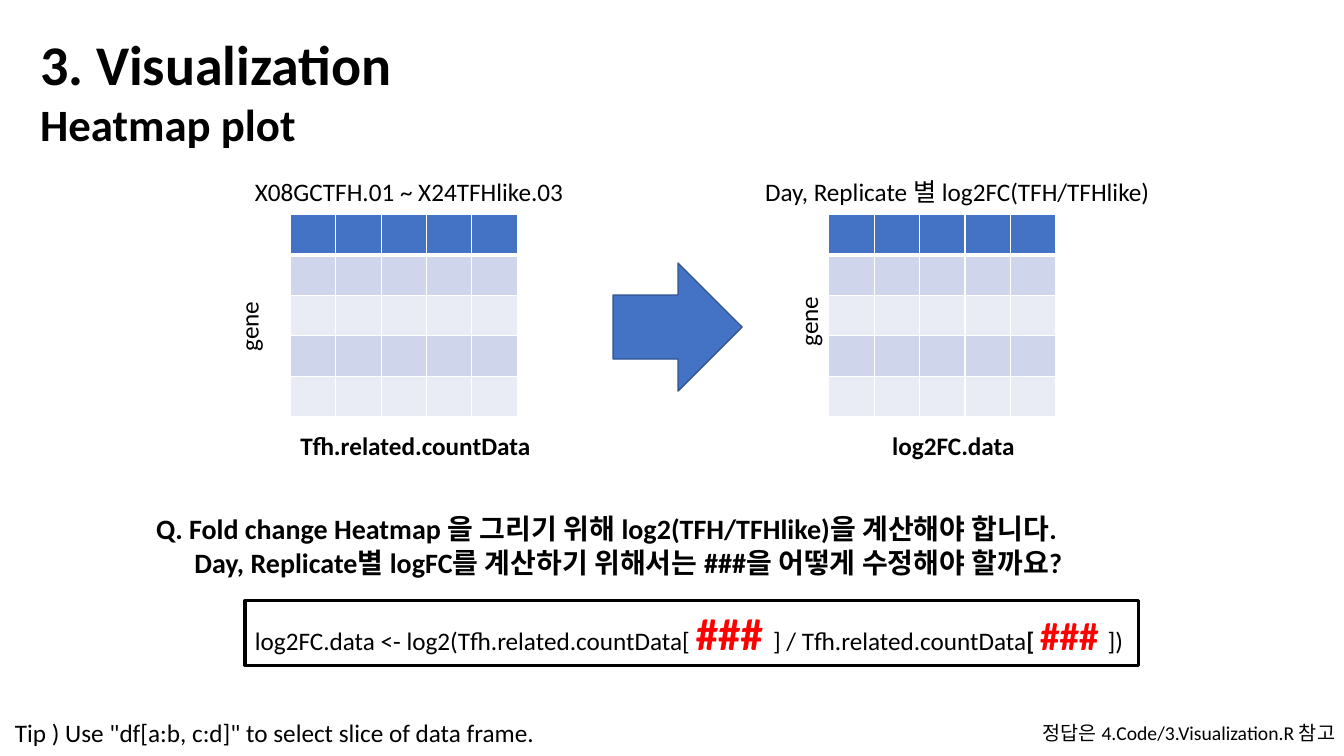
from dataclasses import dataclass

from lxml.etree import SubElement
from pptx import Presentation
from pptx.dml.color import RGBColor
from pptx.enum.shapes import MSO_SHAPE
from pptx.enum.text import MSO_ANCHOR, PP_ALIGN
from pptx.oxml.ns import qn
from pptx.shapes.autoshape import Shape
from pptx.slide import Slide
from pptx.table import _Cell
from pptx.text.text import _Run
from pptx.util import Inches, Pt


@dataclass(frozen=True)
class Theme:
    """Colours and type sizes of the slide."""

    font: str = "Calibri"
    text: str = "000000"
    highlight: str = "FF0000"
    accent: str = "4472C4"
    accent_edge: str = "325491"
    grid: str = "FFFFFF"
    bands: tuple[str, str] = ("CFD5EA", "E9EBF5")
    title: int = 40
    subtitle: int = 32
    question: int = 20
    body: int = 18
    note: int = 14
    blank_large: int = 32
    blank_small: int = 28


THEME = Theme()


@dataclass(frozen=True)
class Box:
    """Position and size in inches."""

    left: float
    top: float
    width: float
    height: float

    def lengths(self) -> tuple[Inches, Inches, Inches, Inches]:
        """Return the four lengths for a shape call."""
        return Inches(self.left), Inches(self.top), Inches(self.width), Inches(self.height)


@dataclass(frozen=True)
class Label:
    """A text box in one style."""

    text: str
    box: Box
    size: int = THEME.body
    bold: bool = False
    align: PP_ALIGN = PP_ALIGN.LEFT
    rotation: int = 0


@dataclass(frozen=True)
class CodePart:
    """A run of the code line."""

    text: str
    size: int = THEME.body
    color: str = THEME.text
    bold: bool = False


LABELS = [
    Label("정답은 4.Code/3.Visualization.R 참고", Box(8.99, 7.1, 4.35, 0.34),
          size=THEME.note, align=PP_ALIGN.RIGHT),
    Label("log2FC.data", Box(8.75, 4.22, 1.7, 0.4), bold=True),
    Label("Tfh.related.countData", Box(2.88, 4.22, 2.66, 0.4), bold=True),
    Label("gene", Box(2.06, 2.98, 0.81, 0.4), rotation=270),
    Label("gene", Box(7.61, 2.93, 0.81, 0.4), rotation=270),
    Label("X08GCTFH.01 ~ X24TFHlike.03", Box(2.43, 1.7, 4.11, 0.4)),
    Label("Day, Replicate 별 log2FC(TFH/TFHlike)", Box(7.49, 1.7, 4.56, 0.4)),
    Label('Tip ) Use "df[a:b, c:d]" to select slice of data frame.', Box(0.05, 7.07, 6.67, 0.4)),
]

CODE_PARTS = [
    CodePart("log2FC.data <- log2(Tfh.related.countData[ "),
    CodePart("### ", THEME.blank_large, THEME.highlight, True),
    CodePart("] / Tfh.related.countData"),
    CodePart("[ ", bold=True),
    CodePart("### ", THEME.blank_small, THEME.highlight, True),
    CodePart("])"),
]

GRID_LEFTS = (2.88, 8.22)
GRID_TOP = 2.13
GRID_COUNT = 5
CELL_WIDTH, CELL_HEIGHT = 0.45, 0.4


def format_run(run: _Run, size: int, color: str = THEME.text, bold: bool = False) -> None:
    """Apply the slide font to a run."""
    run.font.name = THEME.font
    run.font.size = Pt(size)
    run.font.bold = bold
    run.font.color.rgb = RGBColor.from_string(color)


def add_label(slide: Slide, label: Label) -> Shape:
    """Add a text box in one style."""
    shape = slide.shapes.add_textbox(*label.box.lengths())
    shape.rotation = label.rotation
    shape.text_frame.word_wrap = True
    shape.text_frame.text = label.text
    for paragraph in shape.text_frame.paragraphs:
        paragraph.alignment = label.align
        for run in paragraph.runs:
            format_run(run, label.size, bold=label.bold)
    return shape


def add_heading(slide: Slide) -> None:
    """Add the title with its subtitle."""
    heading = Label("3. Visualization\vHeatmap plot", Box(0.3, 0.24, 3.7, 1.31), THEME.title, True)
    shape = add_label(slide, heading)
    shape.text_frame.paragraphs[0].runs[1].font.size = Pt(THEME.subtitle)


def add_question(slide: Slide) -> None:
    """Add the question with an indented second line."""
    question = Label(
        "Q. Fold change Heatmap 을 그리기 위해 log2(TFH/TFHlike)을 계산해야 합니다.\n"
        "Day, Replicate별 logFC를 계산하기 위해서는 ###을 어떻게 수정해야 할까요?",
        Box(1.45, 5.03, 10.53, 0.77), THEME.question, True)
    shape = add_label(slide, question)
    properties = shape.text_frame.paragraphs[1]._p.get_or_add_pPr()
    properties.set("marL", str(Inches(0.38)))


def add_code(slide: Slide) -> None:
    """Add the framed code line with its blanks."""
    shape = slide.shapes.add_shape(MSO_SHAPE.RECTANGLE, *Box(2.43, 5.96, 8.86, 0.64).lengths())
    shape.shadow.inherit = False
    shape.fill.background()
    shape.line.color.rgb = RGBColor.from_string(THEME.text)
    shape.line.width = Pt(2.25)
    shape.text_frame.word_wrap = True
    shape.text_frame.vertical_anchor = MSO_ANCHOR.TOP
    paragraph = shape.text_frame.paragraphs[0]
    paragraph.alignment = PP_ALIGN.LEFT
    for part in CODE_PARTS:
        run = paragraph.add_run()
        run.text = part.text
        format_run(run, part.size, part.color, part.bold)


def set_borders(cell: _Cell, top: int, bottom: int) -> None:
    """Draw the four borders of a cell, widths in points."""
    properties = cell._tc.get_or_add_tcPr()
    for side, width in (("L", 1), ("R", 1), ("T", top), ("B", bottom)):
        line = SubElement(properties, qn(f"a:ln{side}"), w=str(Pt(width)))
        fill = SubElement(line, qn("a:solidFill"))
        SubElement(fill, qn("a:srgbClr"), val=THEME.grid)


def add_grid(slide: Slide, left: float) -> None:
    """Add an empty data frame with a header row and banded rows."""
    box = Box(left, GRID_TOP, GRID_COUNT * CELL_WIDTH, GRID_COUNT * CELL_HEIGHT)
    table = slide.shapes.add_table(GRID_COUNT, GRID_COUNT, *box.lengths()).table
    for column in table.columns:
        column.width = Inches(CELL_WIDTH)
    for index, row in enumerate(table.rows):
        row.height = Inches(CELL_HEIGHT)
        color = THEME.bands[(index - 1) % 2] if index else THEME.accent
        for cell in row.cells:
            set_borders(cell, top=3 if index == 1 else 1, bottom=3 if index == 0 else 1)
            cell.fill.solid()
            cell.fill.fore_color.rgb = RGBColor.from_string(color)


def add_arrow(slide: Slide) -> None:
    """Add the arrow between the two data frames."""
    shape = slide.shapes.add_shape(MSO_SHAPE.RIGHT_ARROW, *Box(6.08, 2.61, 1.28, 1.27).lengths())
    shape.shadow.inherit = False
    shape.fill.solid()
    shape.fill.fore_color.rgb = RGBColor.from_string(THEME.accent)
    shape.line.color.rgb = RGBColor.from_string(THEME.accent_edge)
    shape.line.width = Pt(1)


def main() -> None:
    """Build the slide and save it."""
    presentation = Presentation()
    presentation.slide_width, presentation.slide_height = Inches(13.33), Inches(7.5)
    slide = presentation.slides.add_slide(presentation.slide_layouts[6])
    add_heading(slide)
    add_code(slide)
    add_question(slide)
    for left in GRID_LEFTS:
        add_grid(slide, left)
    add_arrow(slide)
    for label in LABELS:
        add_label(slide, label)
    presentation.save("out.pptx")


if __name__ == "__main__":
    main()
